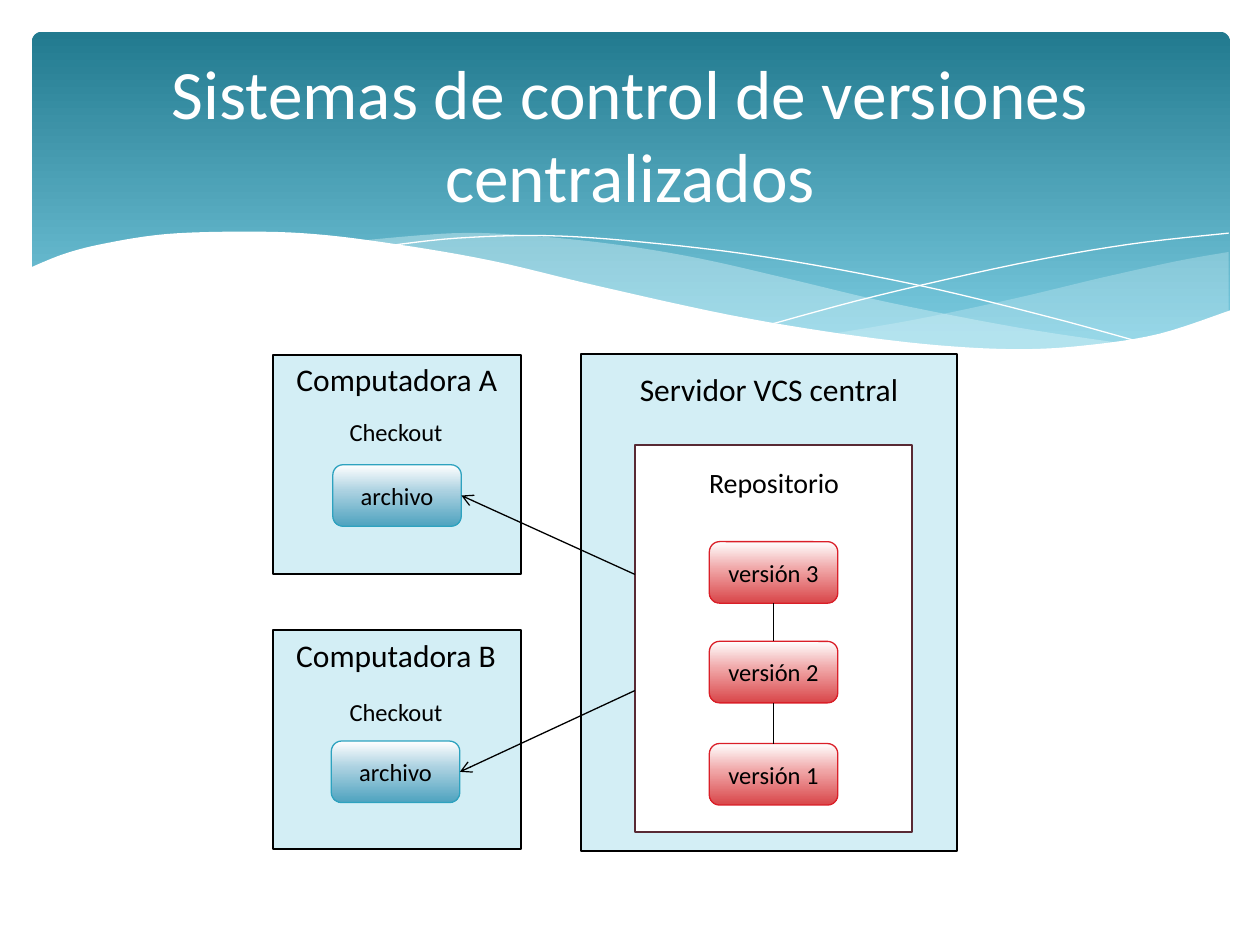
from itertools import chain, pairwise

from lxml.etree import SubElement
from pptx import Presentation
from pptx.dml.color import RGBColor
from pptx.enum.shapes import MSO_CONNECTOR, MSO_SHAPE
from pptx.enum.text import MSO_ANCHOR, MSO_AUTO_SIZE, PP_ALIGN
from pptx.oxml.ns import qn
from pptx.util import Cm, Pt

BLACK = RGBColor(0x00, 0x00, 0x00)
WHITE = RGBColor(0xFF, 0xFF, 0xFF)
PANEL = RGBColor(0xD3, 0xEE, 0xF5)
MIST = RGBColor(0xDE, 0xF5, 0xFA)
WINE = RGBColor(0x58, 0x2A, 0x34)
RED = RGBColor(0xDA, 0x1F, 0x28)
TEAL = RGBColor(0x2D, 0xA2, 0xBF)
BANNER_STOPS = [(0, RGBColor(0x22, 0x7A, 0x8F)), (90, RGBColor(0x7A, 0xCB, 0xE0))]
RED_STOPS = [(0, WHITE), (44, RGBColor(0xF0, 0xA6, 0xA7)), (100, RGBColor(0xD9, 0x46, 0x49))]
TEAL_STOPS = [(0, WHITE), (44, RGBColor(0xA9, 0xD0, 0xE0)), (100, RGBColor(0x4E, 0xA3, 0xBF))]

TITLE = "Sistemas de control de versiones centralizados"
TITLE_BOX = (1.27, 0.94, 22.86, 3.48)
BANNER_BOX = (0.64, 0.64, 24.16, 6.86)

RIGHT_WAVE = [
    [(24.77, 5.08), (23.75, 5.26), (22.25, 5.59), (20.45, 6.02), (18.52, 6.43), (16.79, 6.73)],
    [(16.79, 6.73), (18.59, 6.96), (20.4, 7.06), (21.92, 7.01), (23.19, 6.78), (24.1, 6.53),
     (24.77, 6.27)],
]
MIDDLE_WAVE = [
    [(22.68, 6.93), (20.5, 6.6), (17.93, 6.1), (15.98, 5.64), (14.1, 5.21), (12.42, 4.93),
     (10.67, 4.75), (9.17, 4.7), (7.26, 4.85)],
    [(7.26, 4.85), (9.19, 5.16), (11.4, 5.64), (14.38, 6.3), (16.51, 6.71), (18.34, 6.96),
     (19.94, 7.06), (21.29, 7.06), (22.68, 6.93)],
]
LONG_LINE = [[(7.85, 4.95), (9.22, 4.8), (11, 4.75), (12.95, 4.88), (15.44, 5.18),
              (18.47, 5.74), (21.11, 6.38), (23.04, 6.91)]]
SHORT_LINE = [[(15.57, 6.53), (17.65, 5.97), (20.47, 5.33), (22.73, 4.93), (24.77, 4.7)]]
WHITE_WAVE = [
    [(24.82, 6.25), (23.37, 6.73), (21.92, 6.96), (20.55, 7.04), (18.9, 6.96), (16.97, 6.73),
     (14.71, 6.35), (12.07, 5.77), (9.93, 5.26), (8.03, 4.93), (6.35, 4.72), (4.9, 4.67),
     (3.35, 4.72), (2.16, 4.9), (1.32, 5.11), (0.58, 5.41)],
    [(0.58, 8.36), (24.82, 8.36)],
]
WAVES = [
    (RIGHT_WAVE, MIST, 29),
    (MIDDLE_WAVE, MIST, 40),
    (LONG_LINE, None, 100),
    (SHORT_LINE, None, 100),
    (WHITE_WAVE, WHITE, 100),
]

PANELS = [
    ((5.51, 7.16, 5, 4.42), PANEL, BLACK),
    ((5.51, 12.7, 5, 4.42), PANEL, BLACK),
    ((11.71, 7.14, 7.59, 10.01), PANEL, BLACK),
    ((12.8, 8.97, 5.59, 7.8), WHITE, WINE),
]
LABELS = [
    ("Computadora A", (5.61, 7.14, 4.78, 1.02), 18),
    ("Computadora B", (5.61, 12.7, 4.75, 1.02), 18),
    ("Servidor VCS central", (12.52, 7.34, 5.97, 1.02), 18),
    ("Repositorio", (13.94, 9.27, 3.33, 0.94), 16),
    ("Checkout", (6.73, 8.28, 2.51, 0.86), 14),
    ("Checkout", (6.73, 13.92, 2.51, 0.86), 14),
]
CHIP_SIZE = (2.59, 1.24)
VERSIONS = [("versión 3", 14.3, 10.92), ("versión 2", 14.3, 12.93), ("versión 1", 14.3, 14.99)]
FILES = [("archivo", 6.71, 9.37), ("archivo", 6.68, 14.94)]
CHECKOUT_STARTS = [(12.8, 11.58), (12.8, 13.92)]
TOP_SITE, BOTTOM_SITE, RIGHT_SITE = 0, 2, 3


def lengths(values):
    return [Cm(value) for value in values]


def smooth_curve(points, steps=6):
    padded = [points[0], *points, points[-1]]
    curve = [points[0]]
    for a, b, c, d in zip(padded, padded[1:], padded[2:], padded[3:]):
        for step in range(1, steps + 1):
            t = step / steps
            curve.append(tuple(
                (2 * q + (r - p) * t + (2 * p - 5 * q + 4 * r - s) * t ** 2
                 + (3 * q - p - 3 * r + s) * t ** 3) / 2
                for p, q, r, s in zip(a, b, c, d)))
    return curve


def set_line(shape, color, width):
    if color is None:
        shape.line.fill.background()
    else:
        shape.line.color.rgb = color
        shape.line.width = Pt(width)


def set_gradient(shape, stops):
    shape.fill.gradient()
    shape.fill.gradient_angle = 270
    stop_list = shape.element.spPr.find(qn("a:gradFill")).find(qn("a:gsLst"))
    for stop in list(stop_list):
        stop_list.remove(stop)
    for position, color in stops:
        stop = SubElement(stop_list, qn("a:gs"), pos=str(position * 1000))
        SubElement(stop, qn("a:srgbClr"), val=str(color))


def write_text(shape, text, size, color=BLACK, **frame_format):
    frame = shape.text_frame
    frame.text = text
    for name, value in frame_format.items():
        setattr(frame, name, value)
    paragraph = frame.paragraphs[0]
    paragraph.alignment = PP_ALIGN.CENTER
    font_format = {"name": "Calibri", "size": Pt(size)}
    for name, value in font_format.items():
        setattr(paragraph.font, name, value)
        setattr(paragraph.runs[0].font, name, value)
    paragraph.runs[0].font.color.rgb = color


def add_wave(slide, curves, color, opacity):
    points = [lengths(point) for point in chain.from_iterable(map(smooth_curve, curves))]
    builder = slide.shapes.build_freeform(*points[0], scale=1.0)
    builder.add_line_segments(points[1:], close=color is not None)
    wave = builder.convert_to_shape()
    wave.shadow.inherit = False
    if color is None:
        wave.fill.background()
        set_line(wave, WHITE, 0)
        return
    wave.fill.solid()
    wave.fill.fore_color.rgb = color
    set_line(wave, None, 0)
    if opacity < 100:
        color_element = wave.element.spPr.find(qn("a:solidFill"))[0]
        SubElement(color_element, qn("a:alpha"), val=str(opacity * 1000))


def add_box(slide, kind, box, line_color, line_width):
    shape = slide.shapes.add_shape(kind, *lengths(box))
    shape.shadow.inherit = False
    set_line(shape, line_color, line_width)
    return shape


def add_chip(slide, text, left, top, stops, line_color):
    chip = add_box(slide, MSO_SHAPE.ROUNDED_RECTANGLE, (left, top, *CHIP_SIZE), line_color, 0.75)
    set_gradient(chip, stops)
    write_text(chip, text, 14, vertical_anchor=MSO_ANCHOR.MIDDLE)
    return chip


def add_link(slide, start=(0, 0)):
    link = slide.shapes.add_connector(MSO_CONNECTOR.STRAIGHT, *lengths(start), 0, 0)
    set_line(link, BLACK, 0.75)
    SubElement(link.element.spPr, qn("a:effectLst"))
    return link


presentation = Presentation()
presentation.slide_width, presentation.slide_height = lengths((25.4, 19.05))
slide = presentation.slides.add_slide(presentation.slide_layouts[5])

banner = add_box(slide, MSO_SHAPE.ROUNDED_RECTANGLE, BANNER_BOX, None, 0)
banner.adjustments[0] = 0.03
set_gradient(banner, BANNER_STOPS)
for wave in WAVES:
    add_wave(slide, *wave)

title = slide.shapes.title
title.left, title.top, title.width, title.height = lengths(TITLE_BOX)
write_text(title, TITLE, 39.6, WHITE, vertical_anchor=MSO_ANCHOR.MIDDLE,
           auto_size=MSO_AUTO_SIZE.NONE, word_wrap=True)
title.element.getparent().append(title.element)

for box, fill_color, line_color in PANELS:
    panel = add_box(slide, MSO_SHAPE.RECTANGLE, box, line_color, 1.25)
    panel.fill.solid()
    panel.fill.fore_color.rgb = fill_color
for text, box, size in LABELS:
    label = slide.shapes.add_textbox(*lengths(box))
    write_text(label, text, size, word_wrap=False, auto_size=MSO_AUTO_SIZE.SHAPE_TO_FIT_TEXT)

versions = [add_chip(slide, *version, RED_STOPS, RED) for version in VERSIONS]
files = [add_chip(slide, *file, TEAL_STOPS, TEAL) for file in FILES]
for newer, older in pairwise(versions):
    link = add_link(slide)
    link.begin_connect(newer, BOTTOM_SITE)
    link.end_connect(older, TOP_SITE)
for start, file in zip(CHECKOUT_STARTS, files):
    arrow = add_link(slide, start)
    arrow.end_connect(file, RIGHT_SITE)
    SubElement(arrow.line._get_or_add_ln(), qn("a:tailEnd"), type="arrow")

presentation.save("out.pptx")
